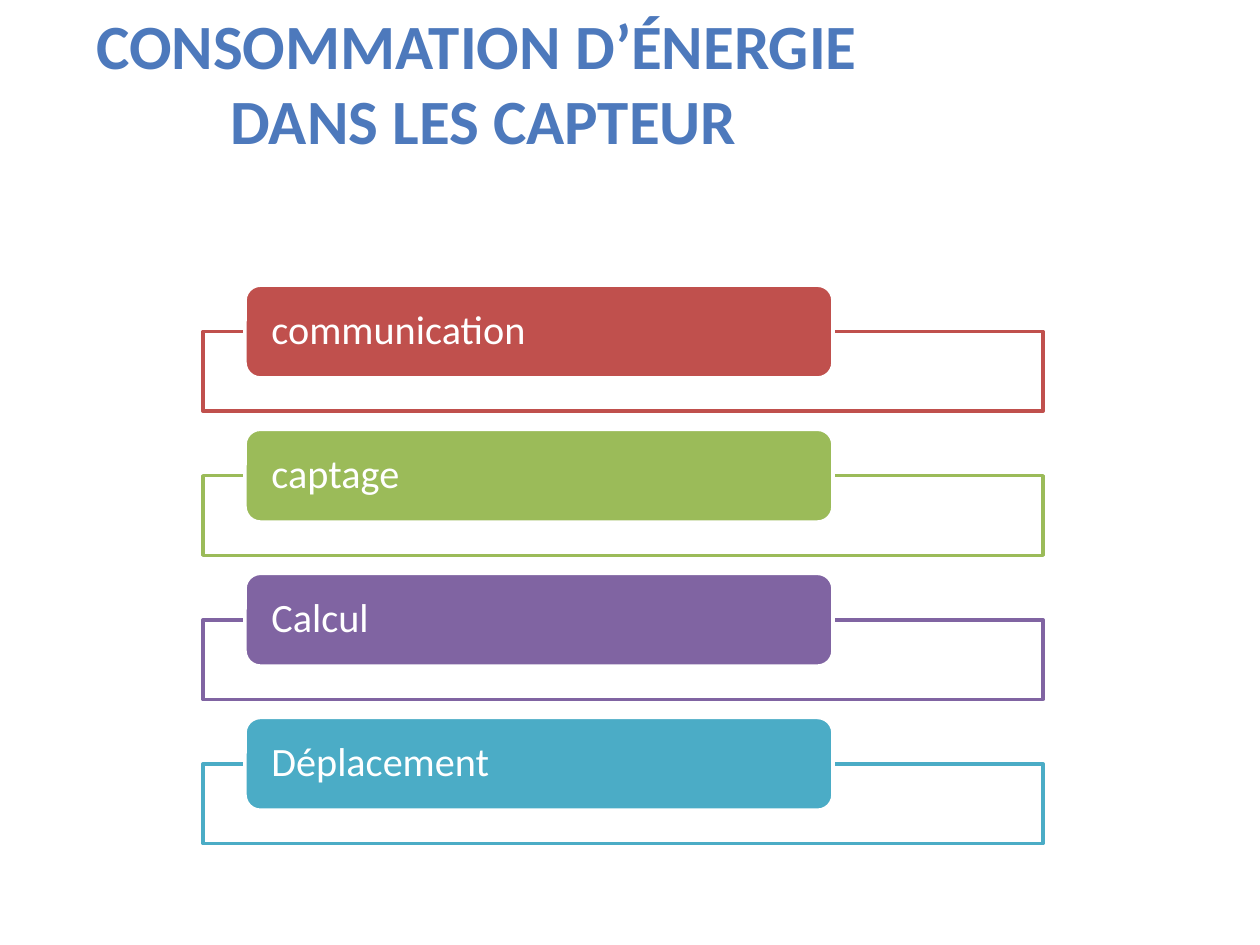
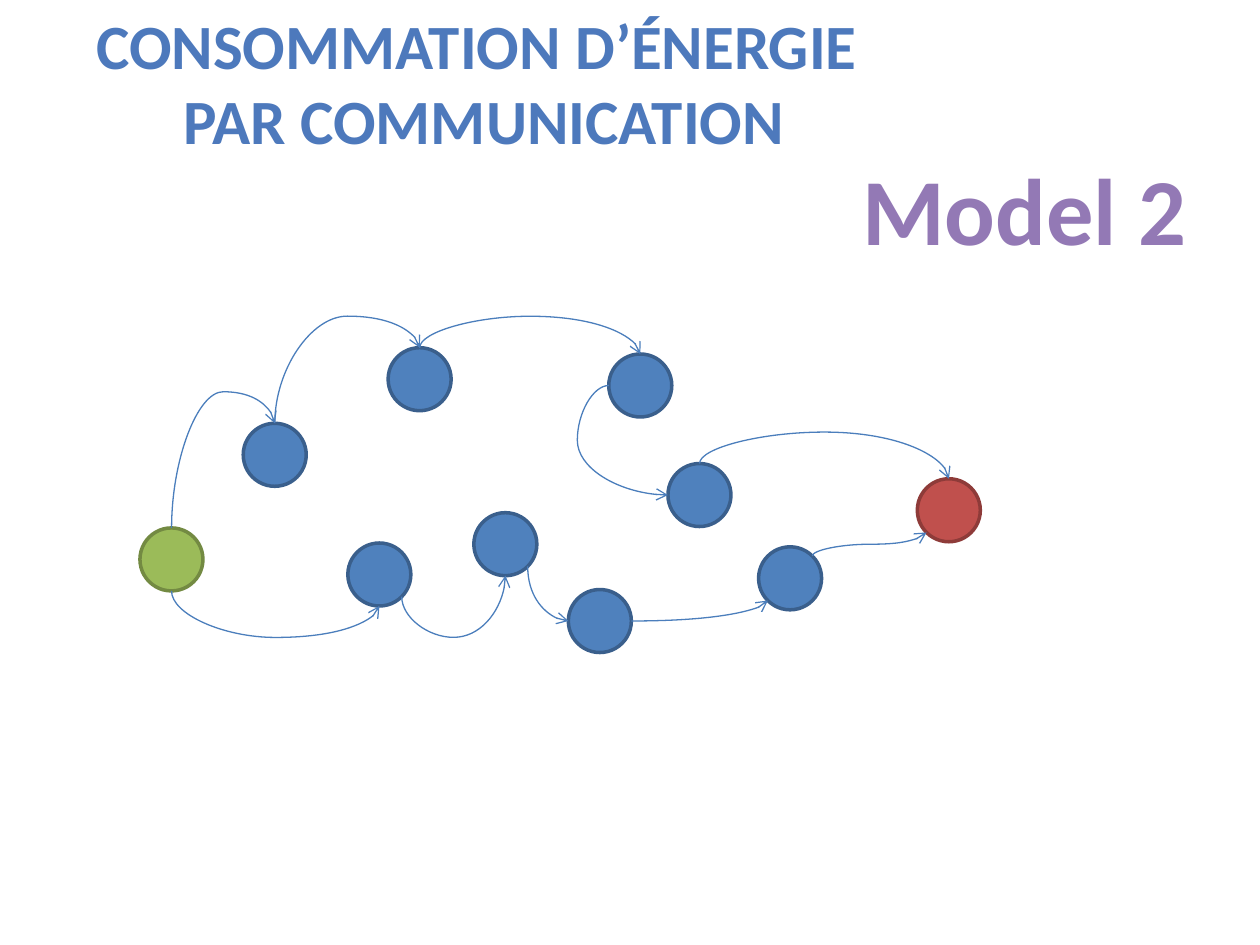
from dataclasses import dataclass
from math import cos, radians, sin

from lxml import etree
from pptx import Presentation
from pptx.dml.color import RGBColor
from pptx.enum.shapes import MSO_CONNECTOR, MSO_SHAPE
from pptx.enum.text import MSO_ANCHOR, MSO_AUTO_SIZE, PP_ALIGN
from pptx.oxml.ns import qn
from pptx.util import Pt

RECT, ROUNDED, OVAL = MSO_SHAPE.RECTANGLE, MSO_SHAPE.ROUNDED_RECTANGLE, MSO_SHAPE.OVAL
CURVE = MSO_CONNECTOR.CURVE
TOP, MIDDLE = MSO_ANCHOR.TOP, MSO_ANCHOR.MIDDLE
CENTER, LEFT = PP_ALIGN.CENTER, PP_ALIGN.LEFT
NO_FIT = MSO_AUTO_SIZE.NONE
TITLE_ONLY = 5


@dataclass(frozen=True)
class Theme:
    font: str = "Calibri"
    title_size: float = 36
    model_size: float = 54
    label_size: float = 23
    title: str = "4D79BC"
    model: str = "9379B5"
    white: str = "FFFFFF"
    red: str = "C0504D"
    green: str = "9BBB59"
    purple: str = "8064A2"
    teal: str = "4BACC6"
    blue: str = "4F81BD"
    red_edge: str = "8E3B39"
    green_edge: str = "738A42"
    blue_edge: str = "3A5F8C"
    link: str = "4B7EBC"
    outline: float = 2
    link_width: float = 0.75


THEME = Theme()

TITLE_BOX = (0, 0, 553, 94.5)
LIST_BOX = (116, 163, 480, 319)
MODEL_BOX = (484.5, 83, 201.5, 72.5)
NETWORK_ORIGIN = (80, 198.7)

CONSUMERS = [
    ("communication", THEME.red),
    ("captage", THEME.green),
    ("Calcul", THEME.purple),
    ("Déplacement", THEME.teal),
]

# Network: upper and lower routes from source to sink
NODE = 36
CLEARANCE = 18
NODES = {
    "source": (0, 103), "sink": (444.2, 74.9),
    "up1": (59, 43.2), "up2": (141.8, 0), "up3": (267.9, 3.6), "up4": (301.7, 66.2),
    "low1": (118.8, 111.6), "low2": (190.8, 94.3), "low3": (244.8, 138.2),
    "low4": (353.5, 113.8),
}
NODE_COLORS = {
    "source": (THEME.green, THEME.green_edge),
    "sink": (THEME.red, THEME.red_edge),
}
# Oval connection sites, counted anticlockwise from the top
N, NW, W, SW, S, SE, E, NE = range(8)
# from, site, to, site, bend
HOPS = [
    ("source", N, "up1", N, "before"),
    ("up1", N, "up2", N, "before"),
    ("up2", N, "up3", N, "before"),
    ("up3", W, "up4", W, "before"),
    ("up4", N, "sink", N, "before"),
    ("source", S, "low1", S, "after"),
    ("low1", SE, "low2", S, "after"),
    ("low2", SE, "low3", W, "corner"),
    ("low3", E, "low4", SW, "corner"),
    ("low4", NE, "sink", SW, "middle"),
]


def set_attrs(obj, values):
    for name, value in values.items():
        setattr(obj, name, value)


def place(sp, box):
    set_attrs(sp, dict(zip(("left", "top", "width", "height"), map(Pt, box))))


def write(tf, lines, size, color, frame, para, bold=False):
    """Fill a text frame with one paragraph per line."""
    set_attrs(tf, frame)
    for i, line in enumerate(lines):
        p = tf.paragraphs[0] if i == 0 else tf.add_paragraph()
        set_attrs(p, para)
        r = p.add_run()
        r.text = line
        set_attrs(r.font, {"name": THEME.font, "size": Pt(size), "bold": bold})
        r.font.color.rgb = RGBColor.from_string(color)


def add_box(shapes, kind, box, fill, line):
    sp = shapes.add_shape(kind, *map(Pt, box))
    sp.shadow.inherit = False
    sp.fill.solid()
    sp.fill.fore_color.rgb = RGBColor.from_string(fill)
    sp.line.color.rgb = RGBColor.from_string(line)
    sp.line.width = Pt(THEME.outline)
    return sp


def add_titled_slide(prs, lines):
    slide = prs.slides.add_slide(prs.slide_layouts[TITLE_ONLY])
    title = slide.shapes.title
    place(title, TITLE_BOX)
    write(title.text_frame, lines, THEME.title_size, THEME.title,
          {"word_wrap": True, "auto_size": NO_FIT, "vertical_anchor": TOP},
          {"alignment": CENTER, "space_before": Pt(0)}, bold=True)
    return slide


def add_consumer_list(slide, box, consumers):
    """Stack of label tabs, each over its outlined panel."""
    left, top, width, height = box
    tab_h, panel_drop, panel_h = 53, 26.5, 45.5
    pitch = (height - panel_drop - panel_h) / (len(consumers) - 1)
    shapes = slide.shapes.add_group_shape().shapes
    for i, (label, color) in enumerate(consumers):
        y = top + i * pitch
        add_box(shapes, RECT, (left, y + panel_drop, width, panel_h), THEME.white, color)
        tab = add_box(shapes, ROUNDED, (left + width * 0.05, y, width * 0.7, tab_h),
                      color, THEME.white)
        write(tab.text_frame, [label], THEME.label_size, THEME.white,
              {"word_wrap": True, "vertical_anchor": MIDDLE, "margin_left": Pt(12.5),
               "margin_right": Pt(12.5), "margin_top": 0, "margin_bottom": 0},
              {"alignment": LEFT, "line_spacing": 0.9})


def add_model_label(slide, box, text):
    tb = slide.shapes.add_textbox(*map(Pt, box))
    write(tb.text_frame, [text], THEME.model_size, THEME.model,
          {"word_wrap": False}, {"alignment": CENTER}, bold=True)


def site_point(corner, site):
    angle = radians(-90 - 45 * site)
    r = NODE / 2
    return corner[0] + r + r * cos(angle), corner[1] + r + r * sin(angle)


def bend_ratio(bend, axis, corners, start, end):
    """Position of the curve's middle leg, as a share of the way from start to end."""
    if bend == "middle":
        return 0.5
    sides = [c[axis] for c in corners]
    leg = min(sides) - CLEARANCE if bend == "before" else max(sides) + NODE + CLEARANCE
    return (leg - start[axis]) / (end[axis] - start[axis])


def add_hop(slide, ovals, corners, sites, bend):
    """Curved arrow between two nodes, turned so that it leaves along its first axis."""
    start, end = map(site_point, corners, sites)
    dx, dy = end[0] - start[0], end[1] - start[1]
    axis = 0 if sites[0] in (W, E) else 1
    w, h = (abs(dx), abs(dy)) if axis == 0 else (abs(dy), abs(dx))
    if axis == 0:
        leaves_left = sites[0] == W
        rot, flip_h, flip_v = 180 * leaves_left, leaves_left, leaves_left != (dy < 0)
    else:
        rot, flip_h, flip_v = (90, True, True) if dy < 0 else (270, True, False)
    cxn = slide.shapes.add_connector(CURVE, 0, 0, Pt(w), Pt(h))
    place(cxn, ((start[0] + end[0] - w) / 2, (start[1] + end[1] - h) / 2, w, h))
    cxn.line.color.rgb = RGBColor.from_string(THEME.link)
    cxn.line.width = Pt(THEME.link_width)

    # Turn, bend, arrowhead and no shadow
    sp_pr = cxn._element.spPr
    xfrm = sp_pr.find(qn("a:xfrm"))
    for name, value in (("rot", rot * 60000), ("flipH", int(flip_h)), ("flipV", int(flip_v))):
        xfrm.set(name, str(value))
    geom = sp_pr.find(qn("a:prstGeom"))
    if bend == "corner":
        geom.set("prst", "curvedConnector2")
    else:
        ratio = bend_ratio(bend, axis, corners, start, end)
        etree.SubElement(geom.find(qn("a:avLst")), qn("a:gd"), name="adj1",
                         fmla=f"val {round(ratio * 100000)}")
    etree.SubElement(sp_pr.find(qn("a:ln")), qn("a:tailEnd"), type="arrow")
    etree.SubElement(sp_pr, qn("a:effectLst"))

    # Join to the nodes' eight-point sites
    joints = cxn._element.find(".//" + qn("p:cNvCxnSpPr"))
    for tag, oval, site in zip(("a:stCxn", "a:endCxn"), ovals, sites):
        etree.SubElement(joints, qn(tag), id=str(oval.shape_id), idx=str(site))


def add_network(slide, origin):
    corners = {n: (origin[0] + x, origin[1] + y) for n, (x, y) in NODES.items()}
    ovals = {}
    for name, corner in corners.items():
        fill, edge = NODE_COLORS.get(name, (THEME.blue, THEME.blue_edge))
        ovals[name] = add_box(slide.shapes, OVAL, (*corner, NODE, NODE), fill, edge)
    for a, site_a, b, site_b, bend in HOPS:
        add_hop(slide, (ovals[a], ovals[b]), (corners[a], corners[b]), (site_a, site_b), bend)


def main():
    prs = Presentation()
    prs.slide_width, prs.slide_height = Pt(720), Pt(540)

    # Energy consumers in a sensor
    slide = add_titled_slide(prs, ["CONSOMMATION D’ÉNERGIE ", "DANS LES CAPTEUR"])
    add_consumer_list(slide, LIST_BOX, CONSUMERS)

    # Multi-hop communication
    slide = add_titled_slide(prs, ["CONSOMMATION D’ÉNERGIE ", "PAR COMMUNICATION"])
    add_model_label(slide, MODEL_BOX, "Model 2")
    add_network(slide, NETWORK_ORIGIN)

    prs.save("out.pptx")


if __name__ == "__main__":
    main()
